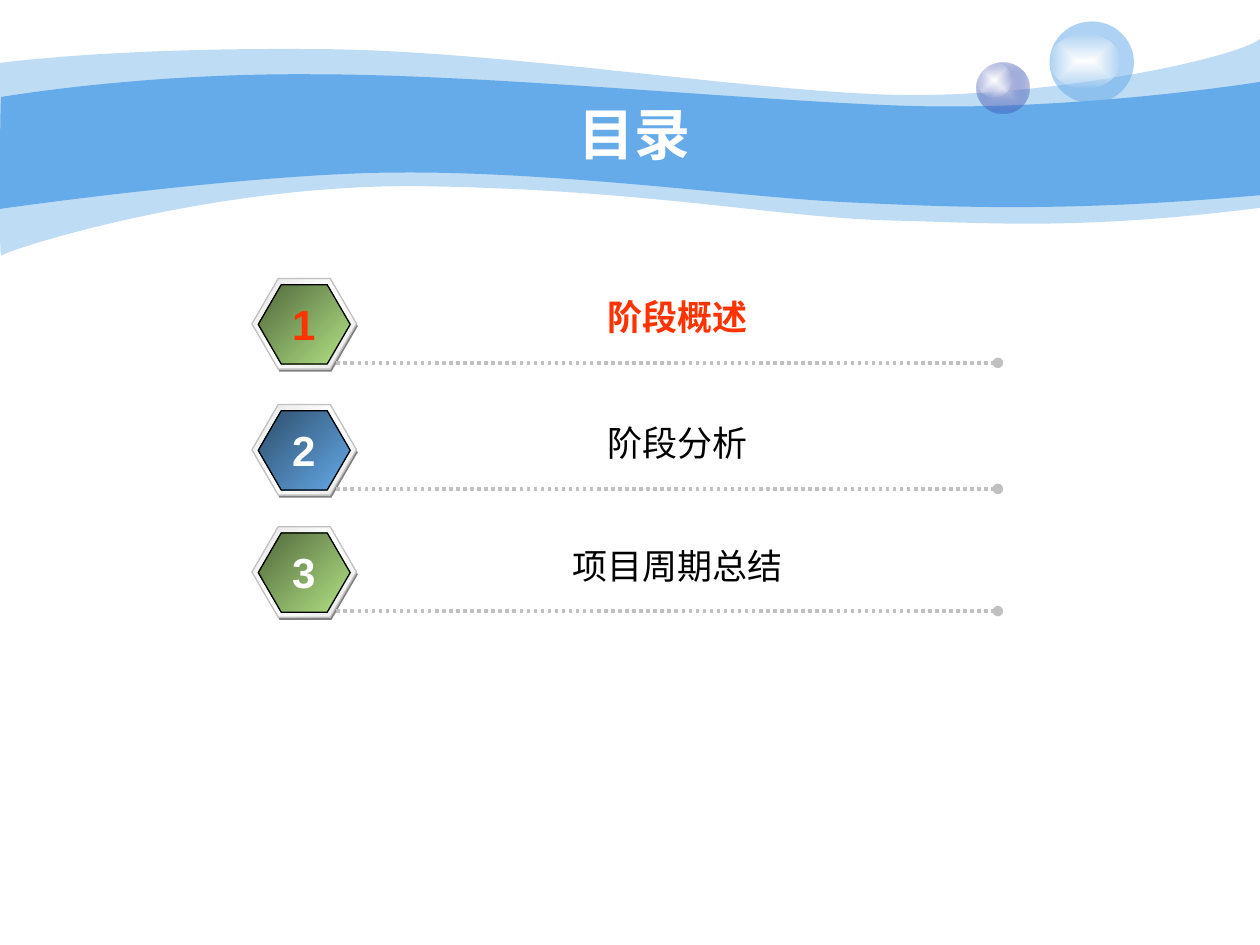
from pptx import Presentation
from pptx.dml.color import RGBColor
from pptx.enum.dml import MSO_LINE
from pptx.enum.shapes import MSO_CONNECTOR, MSO_SHAPE
from pptx.enum.text import MSO_ANCHOR, MSO_AUTO_SIZE, PP_ALIGN
from pptx.oxml.ns import qn
from pptx.util import Inches, Pt
from lxml import etree

STRAIGHT = MSO_CONNECTOR.STRAIGHT
HEXAGON = MSO_SHAPE.HEXAGON
OVAL = MSO_SHAPE.OVAL
DOTTED = MSO_LINE.ROUND_DOT
CENTER = PP_ALIGN.CENTER
MIDDLE = MSO_ANCHOR.MIDDLE
TOP = MSO_ANCHOR.TOP
FIT_SHAPE = MSO_AUTO_SIZE.SHAPE_TO_FIT_TEXT
NO_FIT = MSO_AUTO_SIZE.NONE

WHITE = RGBColor(0xFF, 0xFF, 0xFF)
NEAR_WHITE = RGBColor(0xFE, 0xFE, 0xFE)
BLACK = RGBColor(0, 0, 0)
RED = RGBColor(0xFF, 0x33, 0x00)
BLUE = RGBColor(0x65, 0xAA, 0xE9)
DARK_BLUE = RGBColor(0x2E, 0x4E, 0x6B)
GREEN = RGBColor(0xB2, 0xE3, 0x85)
DARK_GREEN = RGBColor(0x52, 0x68, 0x3D)
LAVENDER = RGBColor(0xC6, 0xCC, 0xE8)
INDIGO = RGBColor(0x23, 0x3D, 0xA9)
SILVER = RGBColor(0xC0, 0xC0, 0xC0)
PALE_GRAY = RGBColor(0xE6, 0xE6, 0xE6)
GRAY = RGBColor(0x80, 0x80, 0x80)

FONT = "Arial"
GLOW = [(0, WHITE, 100), (100, NEAR_WHITE, 0)]
BEVEL = [(0, PALE_GRAY, 100), (50, WHITE, 100), (100, PALE_GRAY, 100)]
GREEN_FADE = [(0, GREEN, 100), (100, DARK_GREEN, 100)]
BLUE_FADE = [(0, BLUE, 100), (100, DARK_BLUE, 100)]

OUTER_WAVE = [
    [(0, 0.5)],
    [(0.24, 0.47), (1.07, 0.38), (2.47, 0.39)],
    [(3.86, 0.39), (5.75, 0.7), (6.99, 0.75)],
    [(8.22, 0.8), (9.8, 0.47), (10, 0.31)],
    [(10, 1.65)],
    [(8.58, 1.83), (7.87, 1.77), (7.05, 1.75)],
    [(6.22, 1.73), (5.15, 1.51), (3.43, 1.48)],
    [(1.72, 1.44), (0.04, 1.99), (0.01, 2.03)],
    [(-0.01, 2.08), (0, 0.75), (0, 0.5)],
]
INNER_WAVE = [
    [(0.01, 0.77)],
    [(0.02, 0.77), (1.1, 0.58), (2.48, 0.59)],
    [(3.86, 0.59), (5.95, 0.8), (7.18, 0.84)],
    [(8.41, 0.88), (9.76, 0.69), (10, 0.65)],
    [(10, 1.55)],
    [(8.53, 1.68), (7.65, 1.65), (6.82, 1.61)],
    [(5.99, 1.58), (4.47, 1.36), (3.17, 1.37)],
    [(2.03, 1.37), (-0.02, 1.66), (-0.01, 1.66)],
    [(0, 1.66), (0, 0.77), (0.01, 0.77)],
]
AGENDA = [
    ("阶段概述", 2.21, GREEN_FADE, True),
    ("阶段分析", 3.21, BLUE_FADE, False),
    ("项目周期总结", 4.18, GREEN_FADE, False),
]


def set_alpha(color_element, percent):
    if percent < 100:
        etree.SubElement(color_element, qn("a:alpha"), val=str(percent * 1000))


def fill_solid(shape, color, opacity=100):
    shape.fill.solid()
    shape.fill.fore_color.rgb = color
    set_alpha(next(shape._element.spPr.iter(qn("a:srgbClr"))), opacity)


def fill_gradient(shape, stops, angle=None):
    shape.fill.gradient()
    gradient = shape._element.spPr.find(qn("a:gradFill"))
    gradient.clear()
    gradient.set("rotWithShape", "1")
    stop_list = etree.SubElement(gradient, qn("a:gsLst"))
    for position, color, opacity in stops:
        stop = etree.SubElement(stop_list, qn("a:gs"), pos=str(position * 1000))
        set_alpha(etree.SubElement(stop, qn("a:srgbClr"), val=str(color)), opacity)
    if angle is None:
        center = etree.SubElement(gradient, qn("a:path"), path="rect")
        sides = dict.fromkeys("ltrb", "50000")
        etree.SubElement(center, qn("a:fillToRect"), **sides)
    else:
        etree.SubElement(gradient, qn("a:lin"), ang=str(angle * 60000), scaled="1")


def set_outline(shape, color=None):
    shape.shadow.inherit = False
    if color is None:
        shape.line.fill.background()
    else:
        shape.line.color.rgb = color
        shape.line.width = Pt(0.75)


def bend_segments(shape, parts):
    segments = iter(list(shape._element.spPr.iter(qn("a:lnTo"))))
    for part in parts:
        group = [next(segments) for _ in part]
        if len(group) == 3:
            curve = etree.Element(qn("a:cubicBezTo"))
            group[0].addprevious(curve)
            for segment in group:
                curve.append(segment[0])
                segment.getparent().remove(segment)


def add_wave(page, parts, opacity=100):
    points = [(Inches(x), Inches(y)) for part in parts for x, y in part]
    builder = page.shapes.build_freeform(*points[0])
    builder.add_line_segments(points[1:], close=True)
    wave = builder.convert_to_shape()
    bend_segments(wave, parts[1:])
    fill_solid(wave, BLUE, opacity)
    set_outline(wave)


def add_preset(group, kind, left, top, width, height, outline=None):
    shape = group.shapes.add_shape(
        kind, Inches(left), Inches(top), Inches(width), Inches(height))
    set_outline(shape, outline)
    return shape


def add_bubbles(page):
    small = page.shapes.add_group_shape()
    fill_gradient(add_preset(small, OVAL, 7.75, 0.5, 0.42, 0.4),
                  [(0, LAVENDER, 100), (100, INDIGO, 31)])
    fill_gradient(add_preset(small, OVAL, 7.75, 0.5, 0.28, 0.27), GLOW)
    large = page.shapes.add_group_shape()
    fill_solid(add_preset(large, OVAL, 8.33, 0.17, 0.67, 0.65), BLUE, 53)
    fill_gradient(add_preset(large, OVAL, 8.33, 0.27, 0.56, 0.43), GLOW)


def add_badge(page, top, fade):
    badge = page.shapes.add_group_shape()
    base = add_preset(badge, HEXAGON, 2.01, top + 0.02, 0.83, 0.72)
    fill_solid(base, GRAY)
    rim = add_preset(badge, HEXAGON, 2, top, 0.83, 0.72, SILVER)
    fill_gradient(rim, BEVEL, 225)
    face = add_preset(badge, HEXAGON, 2.05, top + 0.05, 0.73, 0.63, BLACK)
    fill_gradient(face, fade, 225)
    for hexagon in (base, rim, face):
        hexagon.adjustments[0] = 0.29


def add_dotted_line(page, y):
    line = page.shapes.add_connector(
        STRAIGHT, Inches(2.67), Inches(y), Inches(7.92), Inches(y))
    line.line.color.rgb = SILVER
    line.line.width = Pt(2)
    line.line.dash_style = DOTTED
    properties = line._element.spPr
    etree.SubElement(properties.find(qn("a:ln")), qn("a:tailEnd"), type="oval")
    etree.SubElement(properties, qn("a:effectLst"))


def add_text(page, text, *, left, top, width, height, size, color,
             bold=False, wrap=True, anchor=TOP, fit=FIT_SHAPE):
    box = page.shapes.add_textbox(
        Inches(left), Inches(top), Inches(width), Inches(height))
    frame = box.text_frame
    frame.word_wrap = wrap
    frame.auto_size = fit
    frame.vertical_anchor = anchor
    para = frame.paragraphs[0]
    para.alignment = CENTER
    span = para.add_run()
    span.text = text
    span.font.name = FONT
    span.font.size = Pt(size)
    span.font.bold = bold
    span.font.color.rgb = color


def add_agenda_item(page, number, label, top, fade, current):
    add_badge(page, top, fade)
    add_dotted_line(page, top + 0.67)
    add_text(page, label, left=2.92, top=top + 0.09, width=4.92, height=0.44,
             size=20, color=RED if current else BLACK, bold=current)
    add_text(page, str(number), left=2.22, top=top + 0.11, width=0.38, height=0.5,
             size=24, color=RED if current else WHITE, bold=True, wrap=False)


def main():
    deck = Presentation()
    deck.slide_width, deck.slide_height = Inches(10), Inches(7.5)
    page = deck.slides.add_slide(deck.slide_layouts[6])
    add_wave(page, OUTER_WAVE, 41)
    add_wave(page, INNER_WAVE)
    add_bubbles(page)
    add_text(page, "目录", left=1, top=0.75, width=8.08, height=0.62, size=32,
             color=WHITE, bold=True, anchor=MIDDLE, fit=NO_FIT)
    for number, item in enumerate(AGENDA, start=1):
        add_agenda_item(page, number, *item)
    deck.save("out.pptx")


if __name__ == "__main__":
    main()
